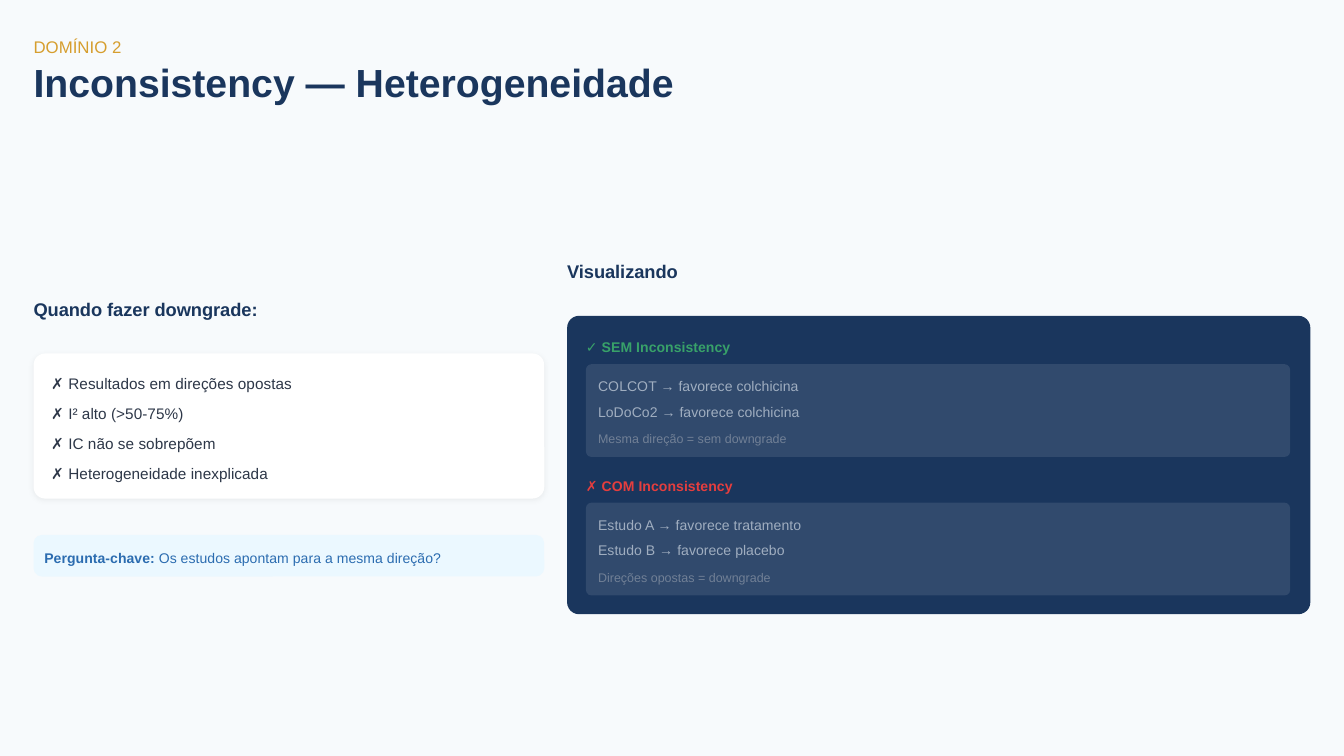
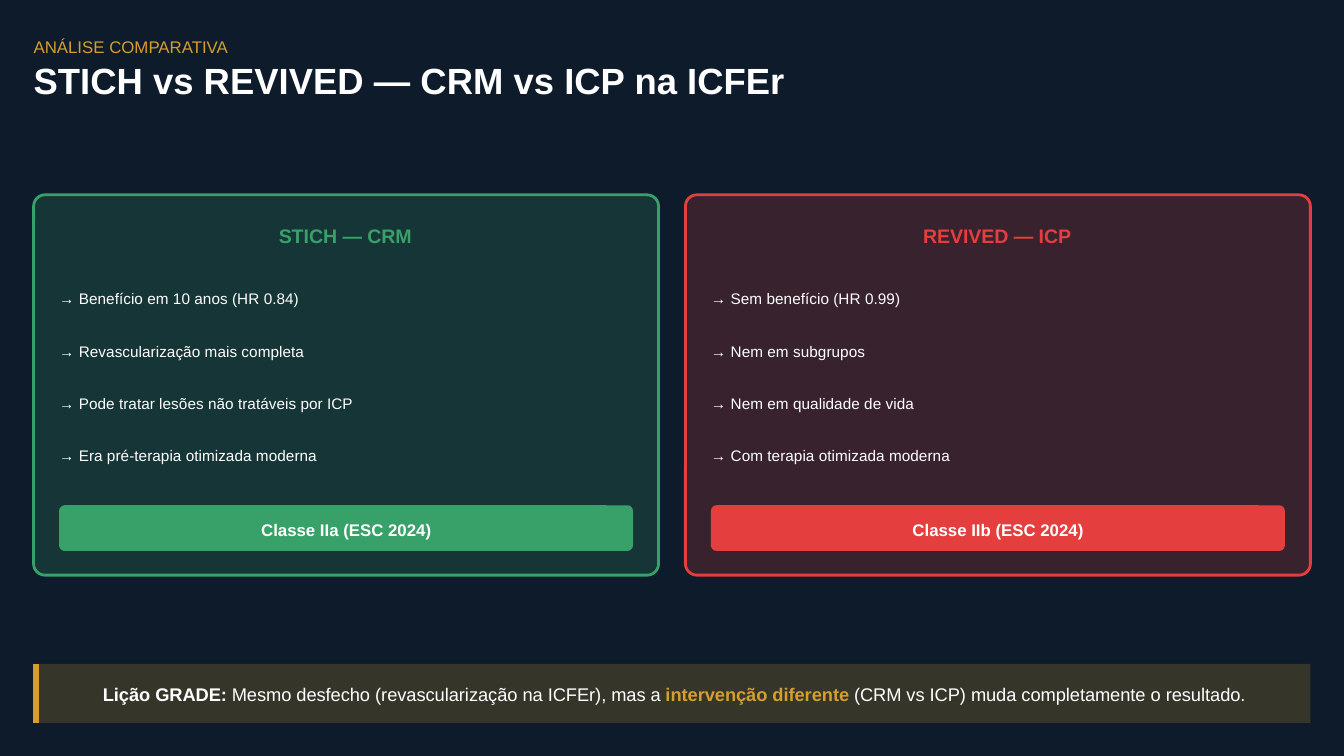
from typing import NamedTuple, Optional, Sequence, Union

from lxml.etree import SubElement
from pptx import Presentation
from pptx.dml.color import RGBColor
from pptx.enum.shapes import MSO_CONNECTOR, MSO_SHAPE
from pptx.enum.text import MSO_ANCHOR, MSO_AUTO_SIZE, PP_ALIGN
from pptx.oxml.ns import qn
from pptx.presentation import Presentation as Deck
from pptx.shapes.autoshape import Shape
from pptx.slide import Slide
from pptx.util import Inches, Pt

FONT = "Arial"
WHITE = RGBColor(0xFF, 0xFF, 0xFF)
PAPER = RGBColor(0xF7, 0xFA, 0xFC)
NIGHT = RGBColor(0x0D, 0x1B, 0x2A)
NAVY = RGBColor(0x1A, 0x36, 0x5D)
GOLD = RGBColor(0xD6, 0x9E, 0x2E)
GREEN = RGBColor(0x38, 0xA1, 0x69)
RED = RGBColor(0xE5, 0x3E, 0x3E)
BLUE = RGBColor(0x2B, 0x6C, 0xB0)
PALE_BLUE = RGBColor(0xEB, 0xF8, 0xFF)
INK = RGBColor(0x2D, 0x37, 0x48)
SILVER = RGBColor(0xA0, 0xAE, 0xC0)
GREY = RGBColor(0x71, 0x80, 0x96)

SLIDE_WIDTH = Inches(10)
SLIDE_HEIGHT = SLIDE_WIDTH * 9 // 16
LEFT_EDGE = 0.25
LINE_RATIO = 1.4


class Area(NamedTuple):
    """Left, top, width and height in inches."""
    left: float
    top: float
    width: float
    height: float


class Run(NamedTuple):
    text: str
    color: RGBColor
    bold: bool = False


class Example(NamedTuple):
    top: float
    heading: str
    color: RGBColor
    studies: Sequence[str]
    verdict: str


class Trial(NamedTuple):
    left: float
    name: str
    color: RGBColor
    findings: Sequence[str]
    recommendation: str


EXAMPLES = (
    Example(2.5, "✓ SEM Inconsistency", GREEN,
            ("COLCOT → favorece colchicina", "LoDoCo2 → favorece colchicina"),
            "Mesma direção = sem downgrade"),
    Example(3.53, "✗ COM Inconsistency", RED,
            ("Estudo A → favorece tratamento", "Estudo B → favorece placebo"),
            "Direções opostas = downgrade"),
)
DOWNGRADE_REASONS = (
    "✗ Resultados em direções opostas",
    "✗ I² alto (>50-75%)",
    "✗ IC não se sobrepõem",
    "✗ Heterogeneidade inexplicada",
)
TRIALS = (
    Trial(0.25, "STICH — CRM", GREEN,
          ("→ Benefício em 10 anos (HR 0.84)", "→ Revascularização mais completa",
           "→ Pode tratar lesões não tratáveis por ICP",
           "→ Era pré-terapia otimizada moderna"),
          "Classe IIa (ESC 2024)"),
    Trial(5.1, "REVIVED — ICP", RED,
          ("→ Sem benefício (HR 0.99)", "→ Nem em subgrupos",
           "→ Nem em qualidade de vida", "→ Com terapia otimizada moderna"),
          "Classe IIb (ESC 2024)"),
)


def place(shape: Shape, area: Area) -> None:
    shape.left, shape.top, shape.width, shape.height = map(Inches, area)


def add_text(slide: Slide, text: Union[str, Sequence[Run]], area: Area, *,
             size: float, color: RGBColor = WHITE, bold: bool = False,
             align: PP_ALIGN = PP_ALIGN.LEFT, line_ratio: float = LINE_RATIO,
             placeholder: Optional[Shape] = None) -> None:
    """Write one paragraph in a new text box, or in the given placeholder."""
    shape = placeholder or slide.shapes.add_textbox(0, 0, 0, 0)
    place(shape, area)
    frame = shape.text_frame
    frame.margin_left = frame.margin_right = frame.margin_top = frame.margin_bottom = 0
    frame.word_wrap = True
    frame.auto_size = MSO_AUTO_SIZE.NONE
    frame.vertical_anchor = MSO_ANCHOR.TOP
    paragraph = frame.paragraphs[0]
    paragraph.alignment = align
    paragraph.line_spacing = Pt(size * line_ratio)
    for part in [Run(text, color, bold)] if isinstance(text, str) else text:
        run = paragraph.add_run()
        run.text = part.text
        run.font.name = FONT
        run.font.size = Pt(size)
        run.font.bold = part.bold
        run.font.color.rgb = part.color


def add_panel(slide: Slide, area: Area, fill: RGBColor, *, radius: float = 0,
              opacity: int = 100, border: Optional[RGBColor] = None) -> Shape:
    """Draw a filled panel; radius is the corner adjustment, opacity a percentage."""
    kind = MSO_SHAPE.ROUNDED_RECTANGLE if radius else MSO_SHAPE.RECTANGLE
    shape = slide.shapes.add_shape(kind, *map(Inches, area))
    if radius:
        shape.adjustments[0] = radius
    shape.shadow.inherit = False
    shape.fill.solid()
    shape.fill.fore_color.rgb = fill
    if opacity < 100:
        color = shape.element.spPr.find(qn("a:solidFill"))[0]
        SubElement(color, qn("a:alpha"), val=str(opacity * 1000))
    if border is None:
        shape.line.fill.background()
    else:
        shape.line.color.rgb = border
        shape.line.width = Pt(1.5)
    return shape


def add_soft_shadow(shape: Shape) -> None:
    effects = shape.element.spPr.find(qn("a:effectLst"))
    shadow = SubElement(effects, qn("a:outerShdw"), blurRad=str(Pt(3)),
                        dist=str(Pt(0.8)), dir="5400000", algn="ctr", rotWithShape="0")
    color = SubElement(shadow, qn("a:srgbClr"), val="000000")
    SubElement(color, qn("a:alpha"), val="6000")


def add_slide(presentation: Deck, background: RGBColor, kicker: str, title: str, *,
              title_area: Area, title_size: float, title_color: RGBColor) -> Slide:
    slide = presentation.slides.add_slide(presentation.slide_layouts[5])
    slide.background.fill.solid()
    slide.background.fill.fore_color.rgb = background
    add_text(slide, kicker, Area(LEFT_EDGE, 0.25, 9.69, 0.17), size=9, color=GOLD)
    add_text(slide, title, title_area, size=title_size, color=title_color, bold=True,
             line_ratio=1, placeholder=slide.shapes.title)
    return slide


def add_example(slide: Slide, example: Example) -> None:
    top = example.top
    add_text(slide, example.heading, Area(4.36, top, 5.35, 0.15),
             size=7.5, color=example.color, bold=True)
    add_panel(slide, Area(4.36, top + 0.21, 5.24, 0.69), WHITE, radius=0.06, opacity=10)
    for index, study in enumerate(example.studies):
        add_text(slide, study, Area(4.45, top + 0.29 + 0.19 * index, 5.18, 0.15),
                 size=7.5, color=SILVER)
    add_text(slide, example.verdict, Area(4.45, top + 0.69, 5.18, 0.13),
             size=6.75, color=GREY)


def add_trial(slide: Slide, trial: Trial) -> None:
    left = trial.left
    add_panel(slide, Area(left, 1.45, 4.65, 2.83), trial.color, radius=0.03,
              opacity=20, border=trial.color)
    add_text(slide, trial.name, Area(left + 0.14, 1.64, 4.36, 0.2), size=10.5,
             color=trial.color, bold=True, align=PP_ALIGN.CENTER)
    for index, finding in enumerate(trial.findings):
        add_text(slide, finding, Area(left + 0.19, 2.13 + 0.39 * index, 4.36, 0.16),
                 size=8.25)
    add_panel(slide, Area(left + 0.19, 3.76, 4.27, 0.34), trial.color, radius=0.12)
    add_text(slide, trial.recommendation, Area(left + 0.23, 3.84, 4.19, 0.17),
             size=9, bold=True, align=PP_ALIGN.CENTER)


def add_inconsistency_slide(presentation: Deck) -> None:
    slide = add_slide(presentation, PAPER, "DOMÍNIO 2", "Inconsistency — Heterogeneidade",
                      title_area=Area(LEFT_EDGE, 0.49, 4.87, 0.29), title_size=21,
                      title_color=NAVY)
    add_text(slide, "Quando fazer downgrade:", Area(LEFT_EDGE, 2.19, 3.88, 0.19),
             size=9.75, color=NAVY, bold=True)
    add_soft_shadow(add_panel(slide, Area(LEFT_EDGE, 2.63, 3.8, 1.08), WHITE, radius=0.08))
    reason_step = 0.67 / (len(DOWNGRADE_REASONS) - 1)
    for index, reason in enumerate(DOWNGRADE_REASONS):
        add_text(slide, reason, Area(0.38, 2.76 + reason_step * index, 3.62, 0.16),
                 size=8.25, color=INK)
    add_panel(slide, Area(LEFT_EDGE, 3.98, 3.8, 0.31), PALE_BLUE, radius=0.2)
    question = (Run("Pergunta-chave:", BLUE, True),
                Run(" Os estudos apontam para a mesma direção?", BLUE))
    add_text(slide, question, Area(0.33, 4.07, 3.71, 0.15), size=7.5)

    add_text(slide, "Visualizando", Area(4.22, 1.91, 5.64, 0.19),
             size=9.75, color=NAVY, bold=True)
    add_panel(slide, Area(4.22, 2.35, 5.53, 2.22), NAVY, radius=0.04)
    for example in EXAMPLES:
        add_example(slide, example)


def add_comparison_slide(presentation: Deck) -> None:
    slide = add_slide(presentation, NIGHT, "ANÁLISE COMPARATIVA",
                      "STICH vs REVIVED — CRM vs ICP na ICFEr",
                      title_area=Area(LEFT_EDGE, 0.49, 5.7, 0.27), title_size=19.5,
                      title_color=WHITE)
    for trial in TRIALS:
        add_trial(slide, trial)

    band = Area(LEFT_EDGE, 4.94, 9.5, 0.44)
    add_panel(slide, band, GOLD, opacity=20)
    accent_left = Inches(0.27)
    accent = slide.shapes.add_connector(
        MSO_CONNECTOR.STRAIGHT, accent_left, Inches(band.top),
        accent_left, Inches(band.top + band.height))
    accent.line.color.rgb = GOLD
    accent.line.width = Pt(3)
    SubElement(accent.element.spPr, qn("a:effectLst"))
    lesson = (Run("Lição GRADE:", WHITE, True),
              Run(" Mesmo desfecho (revascularização na ICFEr), mas a ", WHITE),
              Run("intervenção diferente", GOLD, True),
              Run(" (CRM vs ICP) muda completamente o resultado.", WHITE))
    add_text(slide, lesson, Area(0.32, 5.06, 9.39, 0.19), size=9.75,
             align=PP_ALIGN.CENTER)


def main() -> None:
    presentation = Presentation()
    presentation.slide_width = SLIDE_WIDTH
    presentation.slide_height = SLIDE_HEIGHT
    add_inconsistency_slide(presentation)
    add_comparison_slide(presentation)
    presentation.save("out.pptx")


if __name__ == "__main__":
    main()
